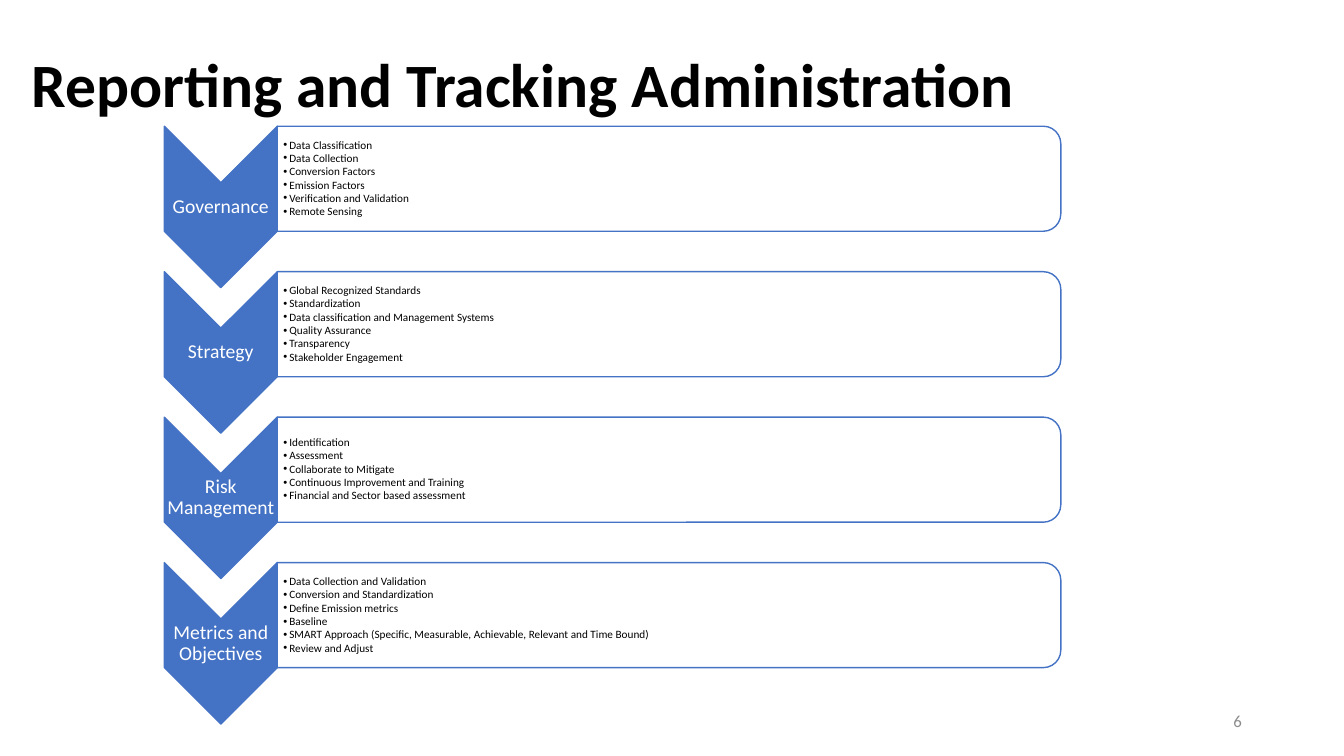
from pptx import Presentation
from pptx.dml.color import RGBColor
from pptx.enum.shapes import MSO_SHAPE as Preset
from pptx.enum.text import MSO_ANCHOR as Anchor, MSO_AUTO_SIZE as AutoSize, PP_ALIGN as Align
from pptx.oxml.ns import qn
from pptx.util import Inches, Pt
from lxml.etree import SubElement

COLORS = {"accent": "4472C4", "white": "FFFFFF", "black": "000000", "gray": "8C8C8C"}

SECTIONS = {
    "Governance": [
        "Data Classification", "Data Collection", "Conversion Factors",
        "Emission Factors", "Verification and Validation", "Remote Sensing",
    ],
    "Strategy": [
        "Global Recognized Standards", "Standardization",
        "Data classification and Management Systems",
        "Quality Assurance", "Transparency", "Stakeholder Engagement",
    ],
    "Risk Management": [
        "Identification", "Assessment", "Collaborate to Mitigate",
        "Continuous Improvement and Training", "Financial and Sector based assessment",
    ],
    "Metrics and Objectives": [
        "Data Collection and Validation", "Conversion and Standardization",
        "Define Emission metrics", "Baseline",
        "SMART Approach (Specific, Measurable, Achievable, Relevant and Time Bound)",
        "Review and Adjust",
    ],
}


class SlideBuilder:
    font = "Calibri"
    grid = 100

    def __init__(self, presentation, layout_index):
        self.column = presentation.slide_width / self.grid
        self.row = presentation.slide_height / self.grid
        self.slide = presentation.slides.add_slide(presentation.slide_layouts[layout_index])

    def box(self, left, top, width, height):
        return (round(left * self.column), round(top * self.row),
                round(width * self.column), round(height * self.row))

    def place(self, shape, area):
        shape.left, shape.top, shape.width, shape.height = self.box(*area)

    def set_text(self, shape, text, size, color, align, anchor=Anchor.MIDDLE,
                 bold=False, margins=None, line_spacing=0.9, space_after=0):
        frame = shape.text_frame
        frame.text = text
        frame.word_wrap = True
        frame.auto_size = AutoSize.NONE
        frame.vertical_anchor = anchor
        if margins:
            (frame.margin_left, frame.margin_top,
             frame.margin_right, frame.margin_bottom) = map(Inches, margins)
        for paragraph in frame.paragraphs:
            paragraph.alignment = align
            paragraph.line_spacing = line_spacing
            paragraph.space_before = Pt(0)
            paragraph.space_after = Pt(space_after)
            for run in paragraph.runs:
                run.font.name = self.font
                run.font.size = Pt(size)
                run.font.bold = bold
                run.font.color.rgb = RGBColor.from_string(COLORS[color])

    def title(self, text, area):
        shape = self.slide.shapes.title
        self.place(shape, area)
        self.set_text(shape, text, 44, "black", Align.CENTER, Anchor.BOTTOM, bold=True)

    def text(self, text, area, size, color, align, **style):
        shape = self.slide.shapes.add_textbox(*self.box(*area))
        self.set_text(shape, text, size, color, align, **style)

    def turned_shape(self, preset, area, fill, opacity=100):
        left, top, width, height = self.box(*area)
        shape = self.slide.shapes.add_shape(
            preset, left + (width - height) // 2, top + (height - width) // 2, height, width)
        shape.rotation = 90
        shape.shadow.inherit = False
        shape.fill.solid()
        shape.fill.fore_color.rgb = RGBColor.from_string(COLORS[fill])
        shape.line.color.rgb = RGBColor.from_string(COLORS["accent"])
        shape.line.width = Pt(1)
        if opacity < 100:
            color = shape._element.spPr.find(qn("a:solidFill"))[0]
            SubElement(color, qn("a:alpha"), val=str(opacity * 1000))

    def bullets(self, placeholder, items, area):
        self.place(placeholder, area)
        self.set_text(placeholder, "\n".join(items), 8, "black", Align.LEFT,
                      margins=(0.06, 0.01, 0.01, 0.01), space_after=0.9)
        indent = Inches(0.06)
        for paragraph in placeholder.text_frame.paragraphs:
            properties = paragraph._p.get_or_add_pPr()
            properties.set("marL", str(indent))
            properties.set("indent", str(-indent))
            SubElement(properties, qn("a:buChar"), char="•")
        self.slide.shapes._spTree.append(placeholder._element)


presentation = Presentation()
presentation.slide_width = Inches(13.33)
presentation.slide_height = Inches(7.5)
COMPARISON_LAYOUT = 4
builder = SlideBuilder(presentation, COMPARISON_LAYOUT)
builder.title("Reporting and Tracking Administration ", (0, -2.7, 78.9, 19.35))

chevron_left, chevron_width, chevron_height = 12.23, 8.4, 21.35
panel_left, panel_width, panel_height = chevron_left + chevron_width, 58.3, 13.9
first_top, pitch = 16.7, 19.24
list_placeholders = list(builder.slide.placeholders)[1:]

for index, (placeholder, (name, items)) in enumerate(zip(list_placeholders, SECTIONS.items())):
    top = first_top + index * pitch
    builder.turned_shape(
        Preset.CHEVRON, (chevron_left, top, chevron_width, chevron_height), "accent")
    builder.text(name, (chevron_left, top + 7.47, chevron_width, 6.4), 14, "white",
                 Align.CENTER, margins=(0.01,) * 4)
    builder.turned_shape(
        Preset.ROUND_2_SAME_RECTANGLE, (panel_left, top, panel_width, panel_height), "white", 90)
    builder.bullets(placeholder, items, (panel_left, top + 0.65, panel_width - 0.4, 12.6))

builder.text("6", (70.65, 92.7, 22.5, 5.35), 12, "gray", Align.RIGHT, line_spacing=1.0)

presentation.save("out.pptx")
